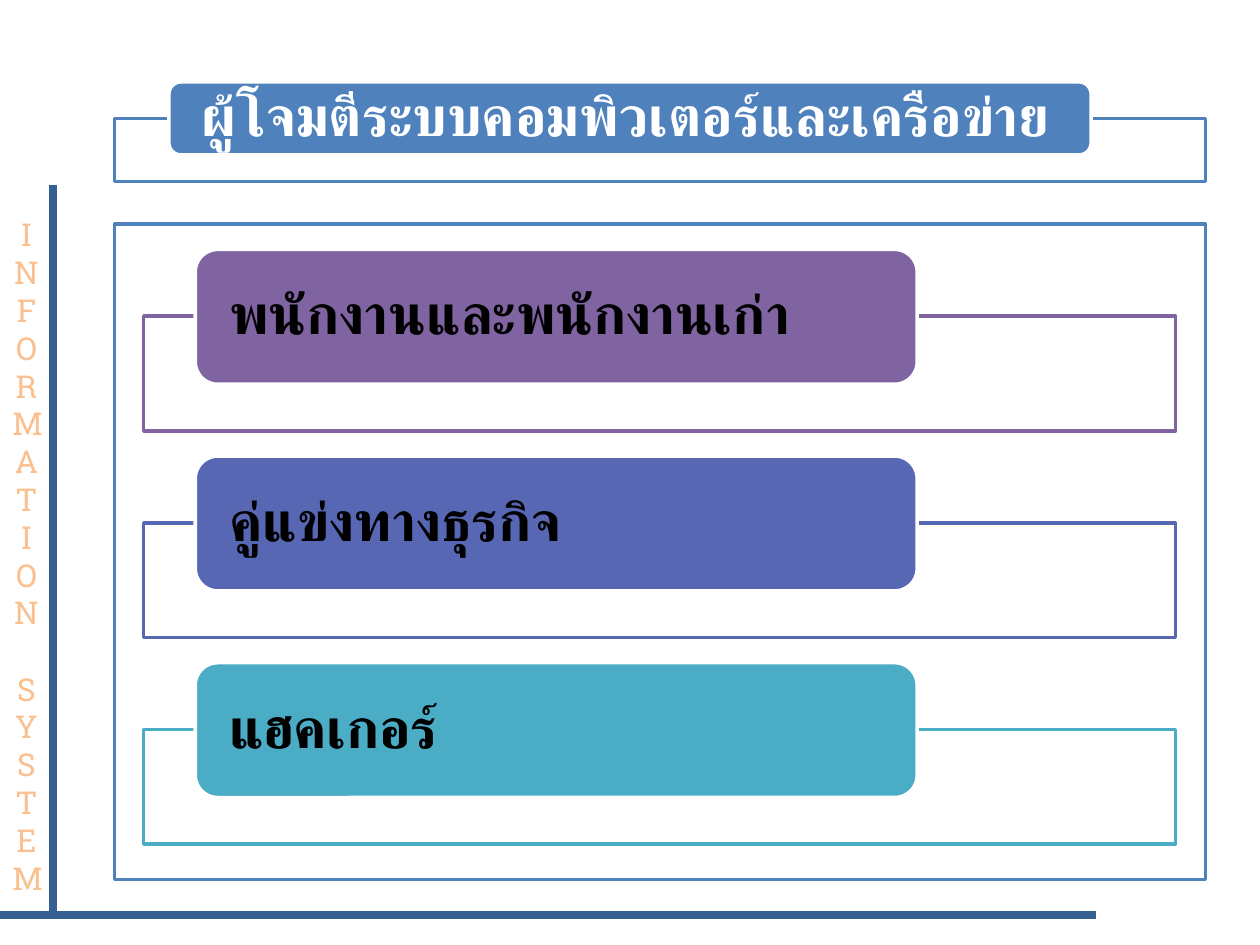
"""Build the slide on attackers of computer systems and networks."""
import pptx
import pptx.dml.color
import pptx.enum.shapes
import pptx.enum.text
import pptx.oxml
import pptx.oxml.ns
import pptx.util

SIDE_WORDS = ["INFORMATION", "SYSTEM"]
TITLE = "ผู้โจมตีระบบคอมพิวเตอร์และเครือข่าย"
ATTACKERS = [
    ("พนักงานและพนักงานเก่า", "8064A2"),
    ("คู่แข่งทางธุรกิจ", "5767B4"),
    ("แฮคเกอร์", "4BACC6"),
]
THEME = {
    "white": "FFFFFF", "black": "000000", "blue": "4F81BD",
    "navy": "376092", "peach": "FAC090",
    "body_font": "Calibri", "side_font": "Roboto Slab",
    "body_size": 32, "side_size": 18, "word_gap": 22,
    "outline": 2, "rule": 4.5,
}
WIDTH, HEIGHT = 10, 7.5
PANEL_LEFT, PANEL_WIDTH = 0.91, 8.66
ROW_TOP, ROW_PITCH = 1.98, 1.64
SHAPES = pptx.enum.shapes.MSO_SHAPE
ALIGN = pptx.enum.text.PP_ALIGN
ANCHOR = pptx.enum.text.MSO_ANCHOR
AUTO_SIZE = pptx.enum.text.MSO_AUTO_SIZE

deck = pptx.Presentation()
deck.slide_width = pptx.util.Inches(WIDTH)
deck.slide_height = pptx.util.Inches(HEIGHT)
page = deck.slides.add_slide(deck.slide_layouts[6])


def color(value):
    """Turn a hex string into a colour."""
    return pptx.dml.color.RGBColor.from_string(value)


def inches(values):
    """Turn plain numbers into lengths."""
    return [pptx.util.Inches(value) for value in values]


def add_block(kind, place, fill, line, opacity=None):
    """Draw a filled, outlined shape."""
    block = page.shapes.add_shape(kind, *inches(place))
    block.shadow.inherit = False
    block.fill.solid()
    block.fill.fore_color.rgb = color(fill)
    block.line.color.rgb = color(line)
    block.line.width = pptx.util.Pt(THEME["outline"])
    if opacity:
        tint = block.fill._xPr.find(".//" + pptx.oxml.ns.qn("a:srgbClr"))
        alpha = pptx.oxml.parse_xml(
            f'<a:alpha {pptx.oxml.ns.nsdecls("a")} val="{opacity * 1000}"/>')
        tint.append(alpha)


def add_rule(*ends):
    """Draw a thick straight rule."""
    rule = page.shapes.add_connector(
        pptx.enum.shapes.MSO_CONNECTOR.STRAIGHT, *inches(ends))
    rule.line.color.rgb = color(THEME["navy"])
    rule.line.width = pptx.util.Pt(THEME["rule"])
    properties = rule._element.spPr
    properties.append(pptx.oxml.parse_xml(
        f'<a:effectLst {pptx.oxml.ns.nsdecls("a")}/>'))


def add_text(words, place, *, font, size, fill, bold=False, align=ALIGN.LEFT,
             anchor=ANCHOR.TOP, margin=None, spacing=None, wrap=True, gap=0):
    """Write groups of paragraphs, with a gap between groups."""
    box = page.shapes.add_textbox(*inches(place))
    frame = box.text_frame
    frame.word_wrap = wrap
    frame.auto_size = AUTO_SIZE.NONE if wrap else AUTO_SIZE.SHAPE_TO_FIT_TEXT
    frame.vertical_anchor = anchor
    if margin is not None:
        frame.margin_left = frame.margin_right = pptx.util.Inches(margin)
        frame.margin_top = frame.margin_bottom = 0
    para = None
    for group in words:
        for position, text in enumerate(group):
            first = para is None
            para = frame.paragraphs[0] if first else frame.add_paragraph()
            para.alignment = align
            if spacing:
                para.line_spacing = spacing
            if gap and position == 0 and not first:
                para.space_before = pptx.util.Pt(gap)
            span = para.add_run()
            span.text = text
            span.font.name = font
            span.font.size = pptx.util.Pt(size)
            span.font.bold = bold
            span.font.color.rgb = color(fill)


def add_entry(text, accent, ink, frame, label, inset, margin):
    """Draw an open frame with a rounded label across its top edge."""
    left, top, width, height = label
    add_block(SHAPES.RECTANGLE, frame, THEME["white"], accent, opacity=90)
    add_block(SHAPES.ROUNDED_RECTANGLE, label, accent, THEME["white"])
    add_text([[text]],
             (left + inset, top + inset, width - 2 * inset, height - 2 * inset),
             font=THEME["body_font"], size=THEME["body_size"], fill=ink,
             bold=True, anchor=ANCHOR.MIDDLE, margin=margin, spacing=0.9)


add_block(SHAPES.RECTANGLE, (PANEL_LEFT, 1.78, PANEL_WIDTH, 5.2),
          THEME["white"], THEME["blue"])
add_rule(0, 7.26, 8.7, 7.26)
add_rule(0.42, 7.28, 0.42, 1.47)
add_text(SIDE_WORDS, (0, 1.66, 0.42, 5.55), font=THEME["side_font"],
         size=THEME["side_size"], fill=THEME["peach"], align=ALIGN.CENTER,
         wrap=False, gap=THEME["word_gap"])
add_entry(TITLE, THEME["blue"], THEME["white"],
          (PANEL_LEFT, 0.94, PANEL_WIDTH, 0.5), (1.34, 0.65, 7.32, 0.58),
          inset=0.03, margin=0.23)
for row, (name, accent) in enumerate(ATTACKERS):
    top = ROW_TOP + row * ROW_PITCH
    add_entry(name, accent, THEME["black"], (1.14, top + 0.53, 8.19, 0.91),
              (1.55, top, 5.73, 1.07), inset=0.05, margin=0.22)

deck.save("out.pptx")
